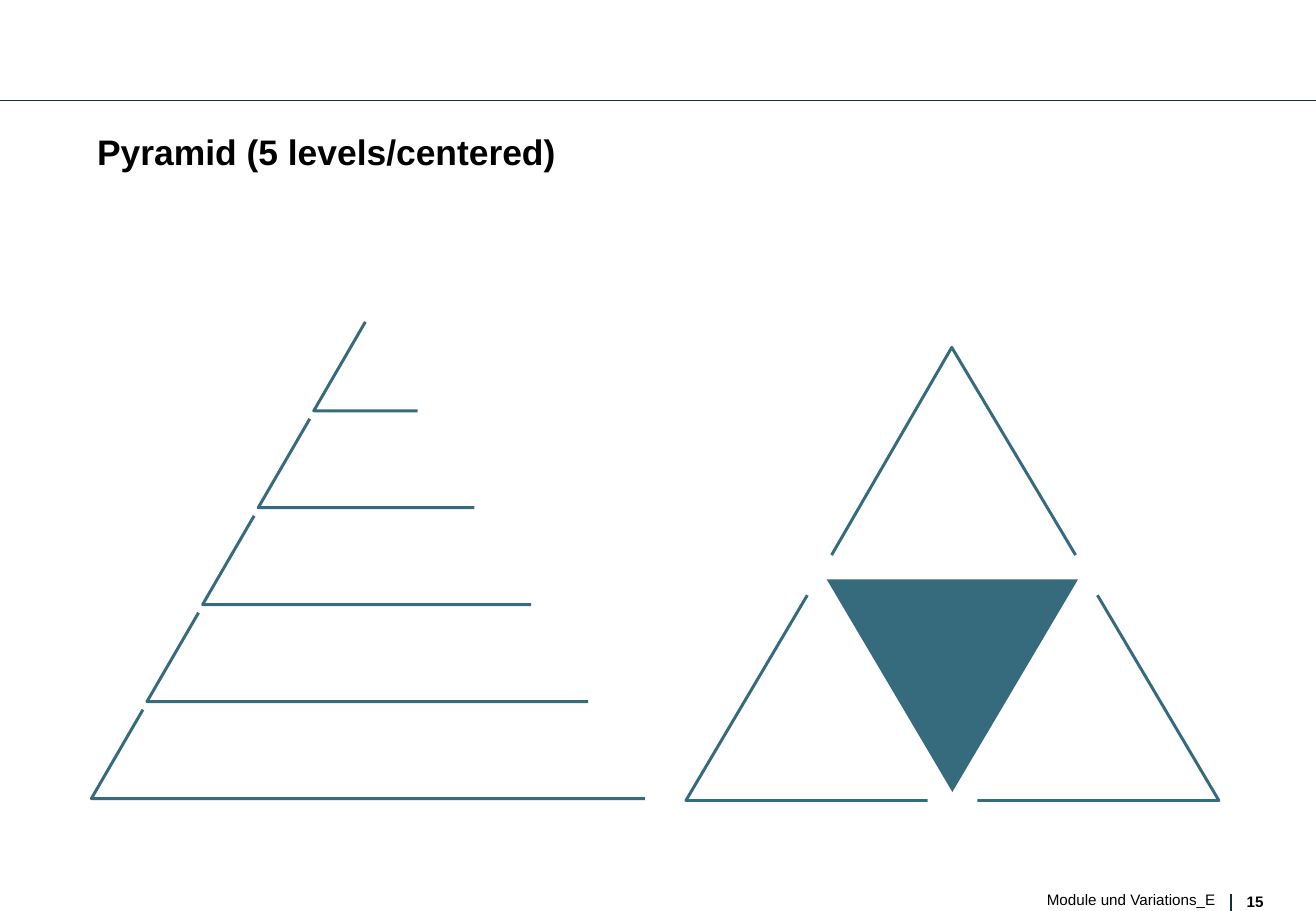
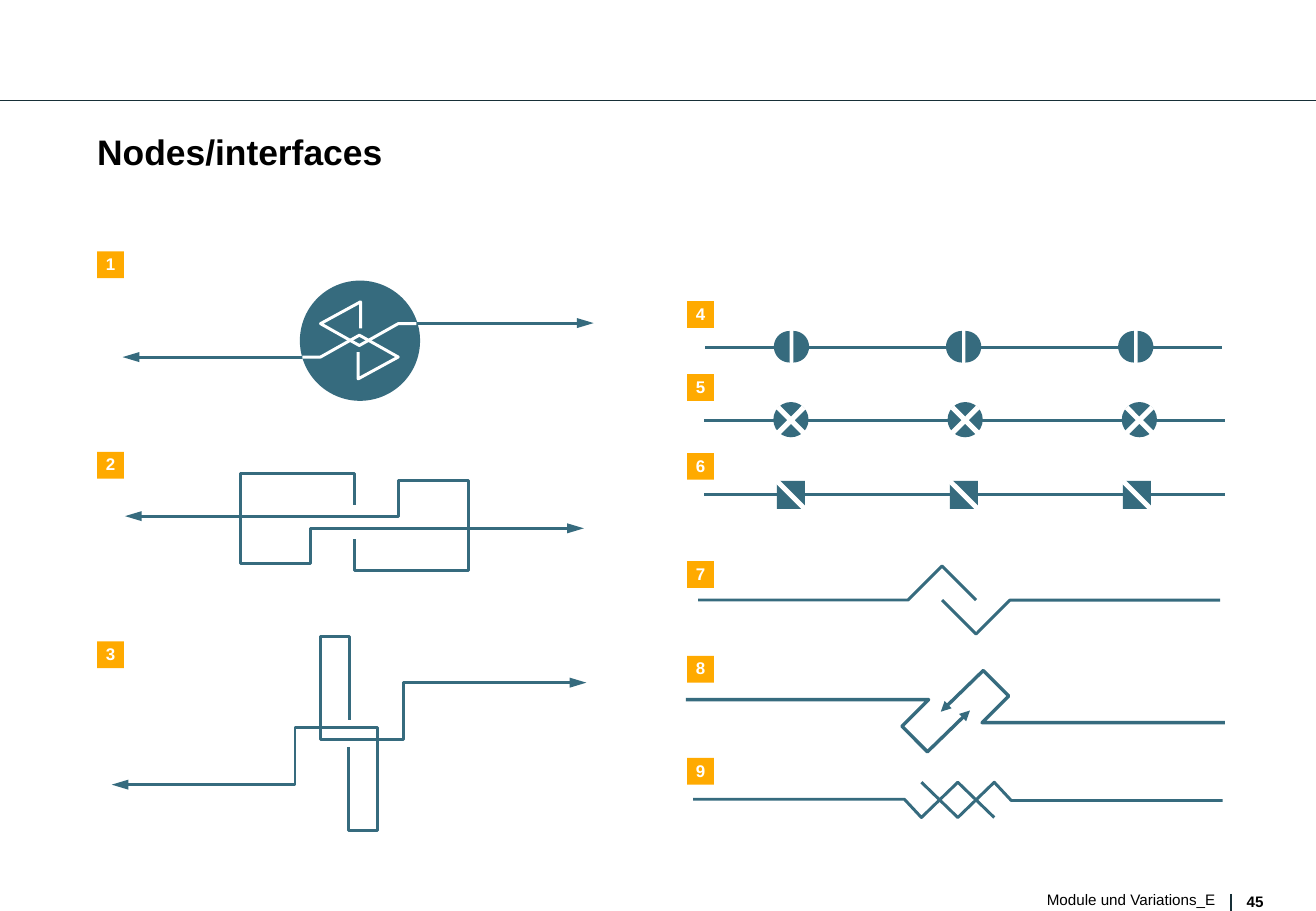
"""Builds two slides of line-art modules: a pyramid and a set of nodes."""
from dataclasses import dataclass
from math import cos, pi, sin

from lxml import etree
from pptx import Presentation, util as u
from pptx.dml.color import RGBColor
from pptx.enum import shapes, text
from pptx.oxml.ns import qn

CELL = u.Inches(0.1)
COLS, ROWS = 108.4, 75
SHAPE, ALIGN, ANCHOR = shapes.MSO_SHAPE, text.PP_ALIGN, text.MSO_ANCHOR


@dataclass(frozen=True)
class Theme:
    """Colours, font and type sizes."""
    ink: str = "000000"
    rule: str = "172F37"
    teal: str = "366B7E"
    amber: str = "FFAA00"
    white: str = "FFFFFF"
    font: str = "Arial"
    title: float = 21
    badge: float = 10
    footer: float = 9
    stroke: float = 1.75
    hairline: float = 0.75


def cells(*values):
    """Turn grid cells into EMU."""
    return [u.Emu(round(v * CELL)) for v in values]


def put(obj, formats):
    """Set attributes from a dict."""
    for name, value in formats.items():
        setattr(obj, name, value)


def half_turn(points, total):
    """Rotate points by 180 degrees; total is twice the centre."""
    return [(total[0] - x, total[1] - y) for x, y in points]


class Deck:
    """Holds the style and the current slide."""

    def __init__(self, theme):
        self.theme = theme
        self.prs = Presentation()
        self.prs.slide_width, self.prs.slide_height = cells(COLS, ROWS)
        self.slide = None

    def page(self, title, number):
        """Start a slide with its title, rule and footer."""
        t = self.theme
        self.slide = self.prs.slides.add_slide(self.prs.slide_layouts[5])
        self.line((0, 8.3), (COLS, 8.3), t.rule, t.hairline)
        self.line((101.4, 73.6), (101.4, ROWS), t.rule, t.hairline)
        self.label((102.7, 73.5, 1.7, 1.4), str(number), bold=True)
        self.label((62.2, 73.3, 37.9, 1.5), "Module und Variations_E",
                   alignment=ALIGN.RIGHT, line_spacing=u.Pt(11))
        sp = self.slide.shapes.title
        put(sp, dict(zip(("left", "top", "width", "height"), cells(8, 11, 93.6, 7.2))))
        self.words(sp, title, t.title, t.ink, True, line_spacing=0.93)

    def words(self, sp, content, size, color, bold=False, anchor=ANCHOR.TOP,
              wrap=True, alignment=ALIGN.LEFT, line_spacing=1.0):
        """Fill a shape with one formatted paragraph."""
        tf = sp.text_frame
        tf.text = content
        put(tf, {"margin_left": 0, "margin_top": 0, "margin_right": 0,
                 "margin_bottom": 0, "word_wrap": wrap, "vertical_anchor": anchor,
                 "auto_size": text.MSO_AUTO_SIZE.NONE})
        p = tf.paragraphs[0]
        put(p, {"alignment": alignment, "line_spacing": line_spacing})
        put(p.font, {"name": self.theme.font, "size": u.Pt(size), "bold": bold})
        p.font.color.rgb = RGBColor.from_string(color)

    def label(self, box, content, **formats):
        """Add a footer text box."""
        sp = self.slide.shapes.add_textbox(*cells(*box))
        self.words(sp, content, self.theme.footer, self.theme.ink, **formats)

    def stroke(self, sp, color=None, width=None, arrow=None, length="lg"):
        """Colour an outline and add an arrowhead at headEnd or tailEnd."""
        sp.line.color.rgb = RGBColor.from_string(color or self.theme.teal)
        sp.line.width = u.Pt(width or self.theme.stroke)
        if arrow:
            ln = sp._element.spPr.find(qn("a:ln"))
            etree.SubElement(ln, qn("a:" + arrow), type="triangle", w="med", len=length)

    def line(self, start, end, color=None, width=None, arrow=None):
        """Add a straight connector."""
        sp = self.slide.shapes.add_connector(
            shapes.MSO_CONNECTOR.STRAIGHT, *cells(*start, *end))
        self.stroke(sp, color, width, arrow)
        etree.SubElement(sp._element.spPr, qn("a:effectLst"))

    def fill(self, sp, color):
        """Give a shape a plain fill without outline or shadow."""
        sp.shadow.inherit = False
        sp.fill.solid()
        sp.fill.fore_color.rgb = RGBColor.from_string(color)
        sp.line.fill.background()

    def outline(self, points, close):
        """Build a freeform through grid points."""
        first, *rest = [cells(*xy) for xy in points]
        fb = self.slide.shapes.build_freeform(*first)
        fb.add_line_segments(rest, close=close)
        return fb.convert_to_shape()

    def bent_line(self, points, **formats):
        """Add an open bent line."""
        sp = self.outline(points, False)
        sp.shadow.inherit = False
        sp.fill.background()
        self.stroke(sp, **formats)

    def pair(self, points, total, **formats):
        """Add a bent line and its half-turned twin."""
        self.bent_line(points, **formats)
        self.bent_line(half_turn(points, total), **formats)

    def half_disc(self, x, y, radius, side):
        """Add a half disc whose flat edge is at x; side is -1 left, 1 right."""
        steps = 32
        angles = [pi * (i / steps - 0.5) for i in range(steps + 1)]
        points = [(x + side * radius * cos(a), y + radius * sin(a)) for a in angles]
        self.fill(self.outline(points, True), self.theme.teal)

    def shape(self, kind, x, y, width, height, color=None, rotation=0):
        """Add a filled preset shape centred on a grid point."""
        sp = self.slide.shapes.add_shape(
            kind, *cells(x - width / 2, y - height / 2, width, height))
        self.fill(sp, color or self.theme.teal)
        sp.rotation = rotation
        return sp

    def badge(self, number, left, top):
        """Add a numbered square."""
        t, side = self.theme, 2.2
        sp = self.shape(SHAPE.RECTANGLE, left + side / 2, top + side / 2,
                        side, side, t.amber)
        self.words(sp, str(number), t.badge, t.white, True, ANCHOR.MIDDLE,
                   False, ALIGN.CENTER, 0.93)


def pyramid(deck):
    """Draw the five-level and the four-part pyramid."""
    deck.page("Pyramid (5 levels/centered)", 15)
    for level in range(5):
        x, y = 30.1 - 4.58 * level, 26.5 + 7.98 * level
        base = y + 7.32
        deck.bent_line([(x, y), (x - 4.25, base), (34.4 + 4.68 * level, base)])

    corner = [(66.5, 49), (56.5, 65.9), (76.4, 65.9)]
    deck.bent_line(corner)
    deck.bent_line([(156.9 - x, y) for x, y in corner])
    deck.bent_line([(68.5, 45.7), (78.4, 28.6), (88.6, 45.7)])
    deck.shape(SHAPE.ISOSCELES_TRIANGLE, 78.45, 56.45, 20.7, 17.5, rotation=180)


def nodes(deck):
    """Draw the nine numbered kinds of node."""
    white = deck.theme.white
    deck.page("Nodes/interfaces", 45)

    deck.line((25.2, 29.4), (10.1, 29.4), arrow="tailEnd")
    deck.line((34.3, 26.6), (48.9, 26.6), arrow="tailEnd")
    deck.shape(SHAPE.OVAL, 29.65, 28.05, 9.9, 9.9)
    deck.pair([(24.9, 29.4), (26.4, 29.4), (29.6, 27.6), (32.8, 29.4),
               (29.5, 31.2), (29.5, 29)], (59.2, 56.05), color=white)
    deck.pair([(10.3, 42.5), (32.8, 42.5), (32.8, 39.6), (38.6, 39.6),
               (38.6, 47), (29.2, 47), (29.2, 44.4)], (58.4, 86), arrow="headEnd")
    deck.pair([(9.2, 64.6), (24.3, 64.6), (24.3, 59.9), (31.1, 59.9),
               (31.1, 68.4), (28.7, 68.4), (28.7, 61.5)], (57.5, 120.8),
              arrow="headEnd")

    deck.line((58, 34.6), (100.9, 34.6))
    deck.line((58, 40.7), (100.9, 40.7))
    for i in range(3):
        x = 65.2 + 14.18 * i
        for side in (-1, 1):
            deck.line((x + side * 0.6, 28.6), (x + side * 7.1, 28.6))
            deck.half_disc(x + side * 0.15, 28.55, 1.3, side)
        x = 65.15 + 14.35 * i
        deck.shape(SHAPE.OVAL, x, 34.55, 2.9, 2.9)
        cross = deck.shape(SHAPE.CROSS, x, 34.6, 3, 3, white, 45)
        cross.adjustments[0] = 0.43
        x = 65.15 + 14.25 * i
        deck.shape(SHAPE.RECTANGLE, x, 40.75, 2.3, 2.3)
        deck.shape(SHAPE.RECTANGLE, x, 40.75, 0.4, 3.3, white, 315)

    deck.pair([(57.5, 49.4), (74.8, 49.4), (77.6, 46.6), (80.4, 49.4)], (158, 98.8))
    deck.pair([(56.5, 57.6), (76.5, 57.6), (74.3, 59.8), (76.4, 61.9), (79.9, 58.5)],
              (157.4, 117.1), width=2, arrow="tailEnd", length="med")
    deck.pair([(57.1, 65.8), (74.5, 65.8), (75.9, 67.3), (78.9, 64.4), (81.9, 67.3)],
              (157.8, 131.7))

    columns = ((8, (20.7, 37.2, 52.8)), (56.6, (24.8, 30.8, 37.3, 46.2, 54, 62.4)))
    spots = [(left, top) for left, tops in columns for top in tops]
    for number, (left, top) in enumerate(spots, 1):
        deck.badge(number, left, top)


def main():
    """Build and save the deck."""
    deck = Deck(Theme())
    pyramid(deck)
    nodes(deck)
    deck.prs.save("out.pptx")


if __name__ == "__main__":
    main()
